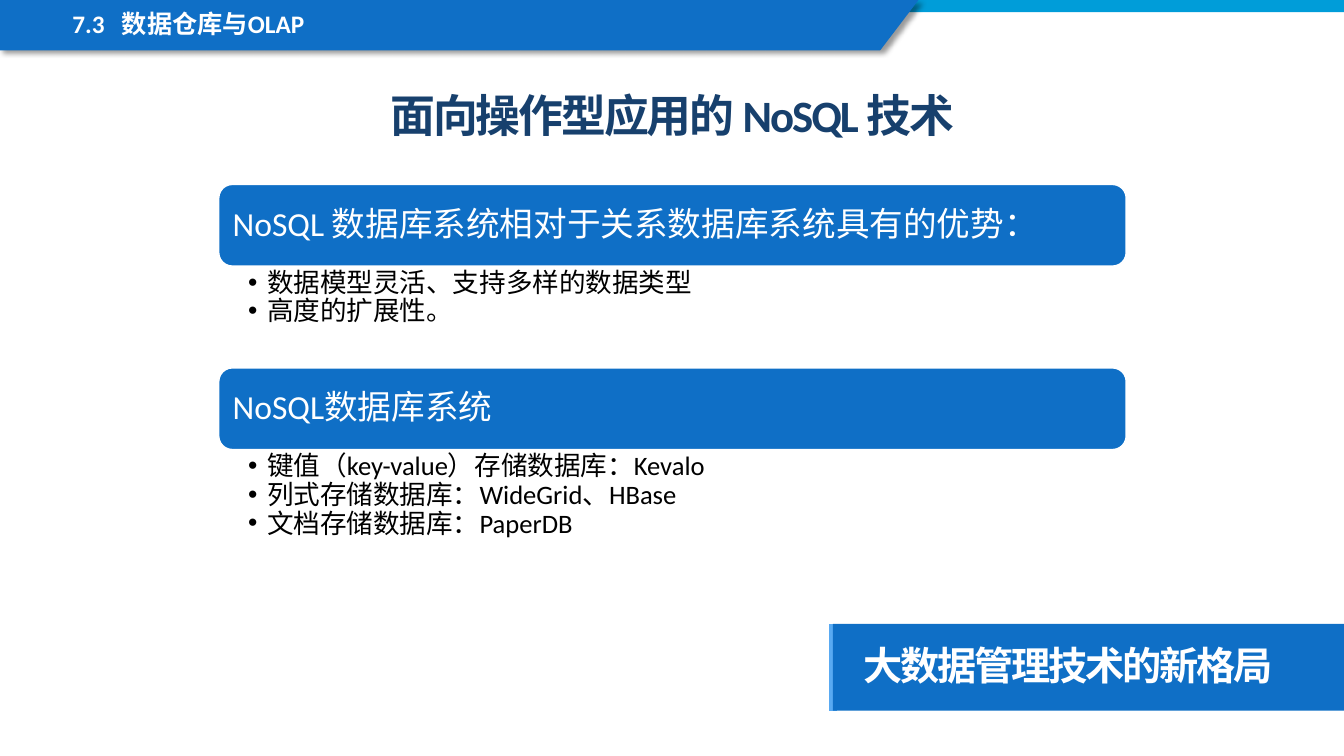
from dataclasses import dataclass

from lxml import etree
from pptx import Presentation
from pptx.dml.color import RGBColor
from pptx.enum import shapes, text
from pptx.oxml import ns
from pptx.util import Inches, Pt


@dataclass(frozen=True)
class Theme:
    blue: str = "0F6FC6"
    cyan: str = "009DD9"
    accent: str = "59AAF2"
    navy: str = "17406D"
    white: str = "FFFFFF"
    black: str = "000000"
    latin: str = "Calibri"
    chinese: str = "Noto Sans CJK SC"
    title: int = 32
    banner: int = 28
    heading: int = 24
    item: int = 19
    section: int = 18


THEME = Theme()
MIDDLE = text.MSO_ANCHOR.MIDDLE


def add_xml(parent, tag, **attributes):
    return etree.SubElement(parent, ns.qn(tag), attributes)


def write(shape, lines, size, color, bold=False, tracking=0, bullet=False, tab=None,
          insets=(0.1, 0.05, 0.1, 0.05), anchor=text.MSO_ANCHOR.TOP,
          align=text.PP_ALIGN.LEFT):
    """Fill a shape with evenly formatted paragraphs."""
    frame = shape.text_frame
    frame.word_wrap = True
    frame.vertical_anchor = anchor
    (frame.margin_left, frame.margin_top,
     frame.margin_right, frame.margin_bottom) = map(Inches, insets)
    frame.text = "\n".join(lines)
    for paragraph in frame.paragraphs:
        properties = paragraph._p.get_or_add_pPr()
        if bullet:
            properties.set("marL", str(Inches(0.19)))
            properties.set("indent", str(-Inches(0.19)))
            add_xml(properties, "a:buFont", typeface="Arial")
            add_xml(properties, "a:buChar", char="•")
        if tab:
            stops = add_xml(properties, "a:tabLst")
            add_xml(stops, "a:tab", pos=str(Inches(tab)), algn="l")
        paragraph.alignment = align
        paragraph.line_spacing = 0.9
        for run in paragraph.runs:
            run.font.name = THEME.latin
            run.font.size = Pt(size)
            run.font.bold = bold
            run.font.color.rgb = RGBColor.from_string(color)
            run_properties = run._r.get_or_add_rPr()
            run_properties.set("lang", "zh-CN")
            if tracking:
                run_properties.set("spc", str(round(tracking * 100)))
            add_xml(run_properties, "a:ea", typeface=THEME.chinese)


def paint(shape, fill, line=None):
    shape.shadow.inherit = False
    shape.fill.solid()
    shape.fill.fore_color.rgb = RGBColor.from_string(fill)
    if line:
        shape.line.color.rgb = RGBColor.from_string(line)
        shape.line.width = Pt(1)
    else:
        shape.line.fill.background()


def add_block(slide, box, fill, line=None, kind=shapes.MSO_SHAPE.RECTANGLE):
    block = slide.shapes.add_shape(kind, *map(Inches, box))
    paint(block, fill, line)
    return block


def add_header(slide, box, section):
    left, top, width, height = box
    # Thin strip across the page
    add_block(slide, (left, top, width, 0.12), THEME.cyan)

    # Slanted band with a soft shadow
    band_right, slant = left + 9.11, 0.38
    builder = slide.shapes.build_freeform(Inches(left), Inches(top))
    builder.add_line_segments([
        (Inches(band_right), Inches(top)),
        (Inches(band_right - slant), Inches(top + height)),
        (Inches(left), Inches(top + height))])
    band = builder.convert_to_shape()
    paint(band, THEME.blue)
    effects = band._element.spPr.find(ns.qn("a:effectLst"))
    shadow = add_xml(effects, "a:outerShdw", blurRad=str(Pt(4)), dist=str(Pt(3)),
                     dir="2700000", algn="tl", rotWithShape="0")
    shade = add_xml(shadow, "a:srgbClr", val=THEME.black)
    add_xml(shade, "a:alpha", val="40000")

    # Section number and name
    label = slide.shapes.add_textbox(
        *map(Inches, (left + 0.62, top + 0.07, 6.96, 0.38)))
    write(label, [section], THEME.section, THEME.white, bold=True, tab=0.49)


def add_title(slide, box, title):
    heading = slide.shapes.add_textbox(*map(Inches, box))
    write(heading, [title], THEME.title, THEME.navy, bold=True, tracking=-1.5,
          align=text.PP_ALIGN.CENTER)


def add_topic(slide, box, heading, items):
    left, top, width, height = box
    bar_height = 0.81
    # Heading bar
    bar = add_block(slide, (left, top, width, bar_height), THEME.blue, THEME.white,
                    shapes.MSO_SHAPE.ROUNDED_RECTANGLE)
    write(bar, [heading], THEME.heading, THEME.white, insets=(0.1,) * 4, anchor=MIDDLE)

    # Bulleted items
    details = slide.shapes.add_textbox(
        *map(Inches, (left, top + bar_height, width, height - bar_height)))
    write(details, items, THEME.item, THEME.black, bullet=True,
          insets=(0.29, 0.03, 0.19, 0.03))


def add_banner(slide, box, caption):
    left, top, width, height = box
    # Accent edge, half covered by the banner
    edge = slide.shapes.add_connector(
        shapes.MSO_CONNECTOR.STRAIGHT, Inches(left), Inches(top + height),
        Inches(left), Inches(top))
    edge.line.color.rgb = RGBColor.from_string(THEME.accent)
    edge.line.width = Pt(6)
    add_xml(edge._element.spPr, "a:effectLst")

    banner = add_block(slide, box, THEME.blue)
    write(banner, [caption], THEME.banner, THEME.white, bold=True, tracking=-1.5,
          insets=(0.3, 0.2, 0.2, 0.2), anchor=MIDDLE)


def main():
    deck = Presentation()
    deck.slide_width, deck.slide_height = Inches(13.33), Inches(7.5)
    slide = deck.slides.add_slide(deck.slide_layouts[6])

    add_header(slide, (0, 0, 13.33, 0.5), "7.3\t数据仓库与OLAP")
    add_title(slide, (2.17, 0.88, 9, 0.67), "面向操作型应用的 NoSQL 技术")

    topics = [
        (1.82, "NoSQL 数据库系统相对于关系数据库系统具有的优势：",
         ["数据模型灵活、支持多样的数据类型", "高度的扩展性。"]),
        (2.3, "NoSQL数据库系统",
         ["键值（key-value）存储数据库：Kevalo",
          "列式存储数据库：WideGrid、HBase",
          "文档存储数据库：PaperDB"]),
    ]
    top = 1.83
    for height, heading, items in topics:
        add_topic(slide, (2.17, top, 9, height), heading, items)
        top += height

    add_banner(slide, (8.26, 6.19, 5.07, 0.86), "大数据管理技术的新格局")
    deck.save("out.pptx")


if __name__ == "__main__":
    main()
